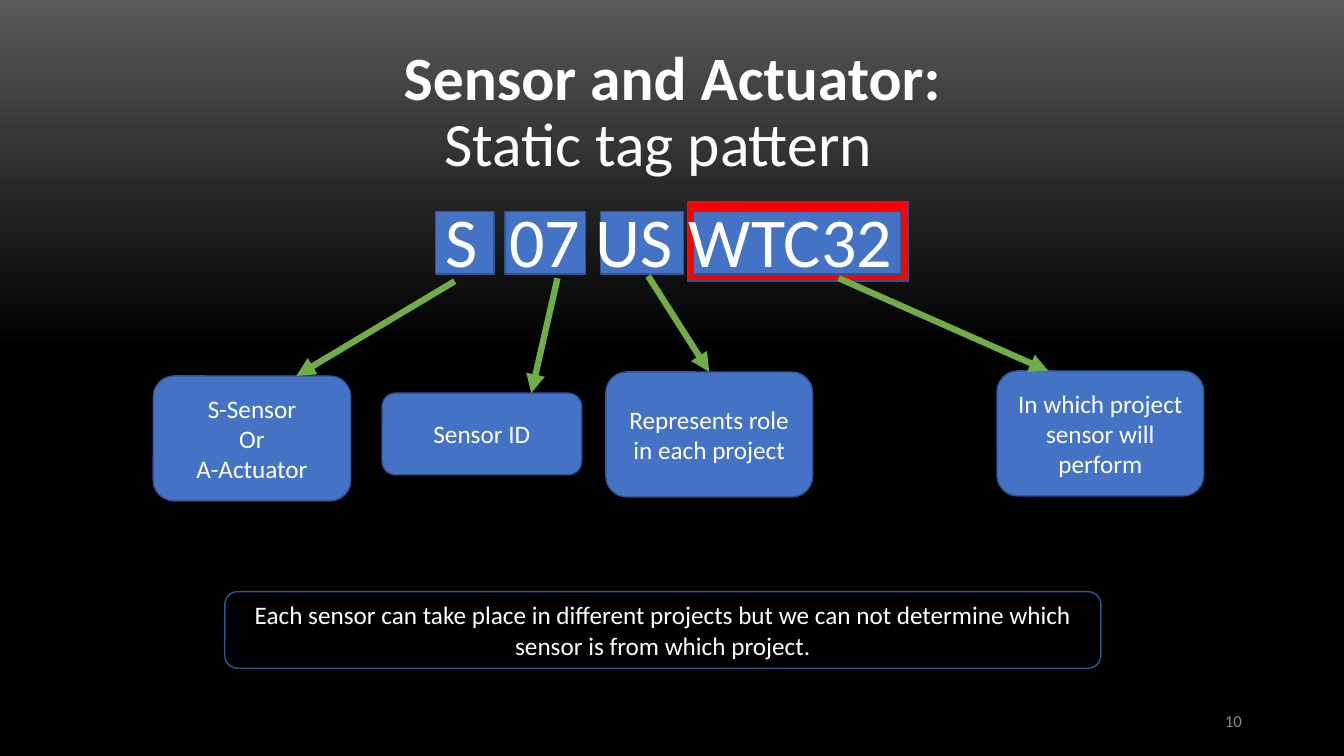
from dataclasses import dataclass

from lxml import etree
from pptx import Presentation
from pptx.dml.color import RGBColor
from pptx.enum.shapes import MSO_CONNECTOR as Connector, MSO_SHAPE as Shape
from pptx.enum.text import MSO_ANCHOR as Anchor, PP_ALIGN as Align
from pptx.oxml.ns import qn
from pptx.util import Emu, Inches, Pt

WIDTH, HEIGHT = Inches(13.33), Inches(7.5)
FONT = "Calibri"
WHITE = RGBColor(0xFF, 0xFF, 0xFF)
BLACK = RGBColor(0x00, 0x00, 0x00)
DARK_GRAY = RGBColor(0x59, 0x59, 0x59)
NUMBER_GRAY = RGBColor(0x8C, 0x8C, 0x8C)
BLUE = RGBColor(0x44, 0x72, 0xC4)
OUTLINE_BLUE = RGBColor(0x32, 0x54, 0x91)
RED = RGBColor(0xFF, 0x00, 0x00)
GREEN = RGBColor(0x70, 0xAD, 0x47)
TOP_SIDE = 0


@dataclass(frozen=True)
class Box:
    """Place and size in percent of the slide's width and height."""
    left: float
    top: float
    width: float
    height: float

    def lengths(self) -> tuple[Emu, Emu, Emu, Emu]:
        return (across(self.left), down(self.top),
                across(self.width), down(self.height))


@dataclass(frozen=True)
class TagPart:
    """A part of the tag, its explanation and the arrow between them."""
    tag_left: float
    tag_width: float
    card: Box
    meaning: tuple[str, ...]
    arrow_from: tuple[float, float]
    arrow_to_x: float


TAG_TOP, TAG_HEIGHT = 28, 8.27
TAG_PARTS = (
    TagPart(32.4, 4.35, Box(11.4, 49.73, 14.7, 16.53),
            ("S-Sensor", "Or", "A-Actuator"), (33.83, 37.2), 22.05),
    TagPart(37.58, 6, Box(28.43, 52, 14.85, 10.8),
            ("Sensor ID",), (41.48, 36.8), 39.53),
    TagPart(44.7, 6.15, Box(45.08, 49.2, 15.38, 16.53),
            ("Represents role in each project",), (48.23, 36.53), 52.77),
    TagPart(51.6, 15.45, Box(74.18, 49.07, 15.38, 16.53),
            ("In which project sensor will perform",), (62.4, 36.8), 78),
)
PROJECT_FRAME = Box(51.15, 26.67, 16.43, 10.53)
TITLE = Box(6.9, 5.33, 86.25, 19.33)
TAG_TEXT = Box(6.9, 26.67, 86.25, 63.47)
NOTE = Box(16.73, 78.27, 65.18, 10.13)
PAGE_NUMBER = Box(70.65, 92.67, 22.5, 5.33)


def across(percent: float) -> Emu:
    return Emu(round(WIDTH * percent / 100))


def down(percent: float) -> Emu:
    return Emu(round(HEIGHT * percent / 100))


def add_run(paragraph, text: str, size: float, color=WHITE, bold=False):
    run = paragraph.add_run()
    run.text = text
    run.font.name, run.font.size, run.font.bold = FONT, Pt(size), bold
    run.font.color.rgb = color
    return run


def add_panel(slide, kind: Shape, box: Box, fill: RGBColor, lines=()):
    panel = slide.shapes.add_shape(kind, *box.lengths())
    panel.shadow.inherit = False
    panel.fill.solid()
    panel.fill.fore_color.rgb = fill
    panel.line.color.rgb = OUTLINE_BLUE
    panel.line.width = Pt(1)
    frame = panel.text_frame
    frame.vertical_anchor = Anchor.MIDDLE
    for index, line in enumerate(lines):
        paragraph = frame.add_paragraph() if index else frame.paragraphs[0]
        paragraph.alignment = Align.CENTER
        add_run(paragraph, line, 18)
    return panel


def add_text_frame(slide, box: Box, anchor: Anchor):
    frame = slide.shapes.add_textbox(*box.lengths()).text_frame
    frame.word_wrap = True
    frame.vertical_anchor = anchor
    return frame


def indent(paragraph, percent: float) -> None:
    properties = paragraph._p.get_or_add_pPr()
    properties.set("marL", str(across(percent)))
    properties.set("indent", "0")


def add_arrow(slide, part: TagPart, card) -> None:
    start_x, start_y = part.arrow_from
    arrow = slide.shapes.add_connector(
        Connector.STRAIGHT, across(start_x), down(start_y),
        across(part.arrow_to_x), down(part.card.top))
    middle = part.card.left + part.card.width / 2
    if abs(part.arrow_to_x - middle) < 0.1:
        arrow.end_connect(card, TOP_SIDE)
    arrow.line.color.rgb = GREEN
    arrow.line.width = Pt(4.5)
    etree.SubElement(arrow.line._get_or_add_ln(), qn("a:tailEnd"), type="triangle")
    etree.SubElement(arrow._element.spPr, qn("a:effectLst"))


def set_background(slide) -> None:
    fill = slide.background.fill
    fill.gradient()
    fill.gradient_angle = 270
    for stop, position, color in zip(
            fill.gradient_stops, (0, 0.46), (DARK_GRAY, BLACK)):
        stop.position = position
        stop.color.rgb = color


def add_title(slide) -> None:
    frame = add_text_frame(slide, TITLE, Anchor.MIDDLE)
    heading, subheading = frame.paragraphs[0], frame.add_paragraph()
    add_run(heading, "Sensor and Actuator:", 44, bold=True)
    add_run(subheading, "Static tag pattern", 44)
    for paragraph, left in ((heading, 22.4), (subheading, 25.4)):
        paragraph.line_spacing = 0.9
        indent(paragraph, left)


def add_tag_text(slide) -> None:
    tag = add_text_frame(slide, TAG_TEXT, Anchor.TOP).paragraphs[0]
    tag.line_spacing = 0.9
    tag.space_before = Pt(10)
    indent(tag, 25.5)
    add_run(tag, "S", 50)
    wide_gap = add_run(tag, " ", 50)
    wide_gap.font._element.set("spc", "1130")
    add_run(tag, "07 US WTC32", 50)


def add_page_number(slide) -> None:
    number = add_text_frame(slide, PAGE_NUMBER, Anchor.MIDDLE).paragraphs[0]
    number.alignment = Align.RIGHT
    add_run(number, "10", 12, NUMBER_GRAY)


def main() -> None:
    presentation = Presentation()
    presentation.slide_width, presentation.slide_height = WIDTH, HEIGHT
    slide = presentation.slides.add_slide(presentation.slide_layouts[6])
    set_background(slide)
    add_panel(slide, Shape.RECTANGLE, PROJECT_FRAME, RED)
    for part in reversed(TAG_PARTS):
        tag_box = Box(part.tag_left, TAG_TOP, part.tag_width, TAG_HEIGHT)
        add_panel(slide, Shape.RECTANGLE, tag_box, BLUE)
    add_title(slide)
    add_tag_text(slide)
    add_page_number(slide)
    for part in TAG_PARTS:
        card = add_panel(slide, Shape.ROUNDED_RECTANGLE, part.card, BLUE, part.meaning)
        add_arrow(slide, part, card)
    add_panel(slide, Shape.ROUNDED_RECTANGLE, NOTE, BLACK, (
        "Each sensor can take place in different projects but we can not "
        "determine which sensor is from which project.",))
    presentation.save("out.pptx")


if __name__ == "__main__":
    main()
